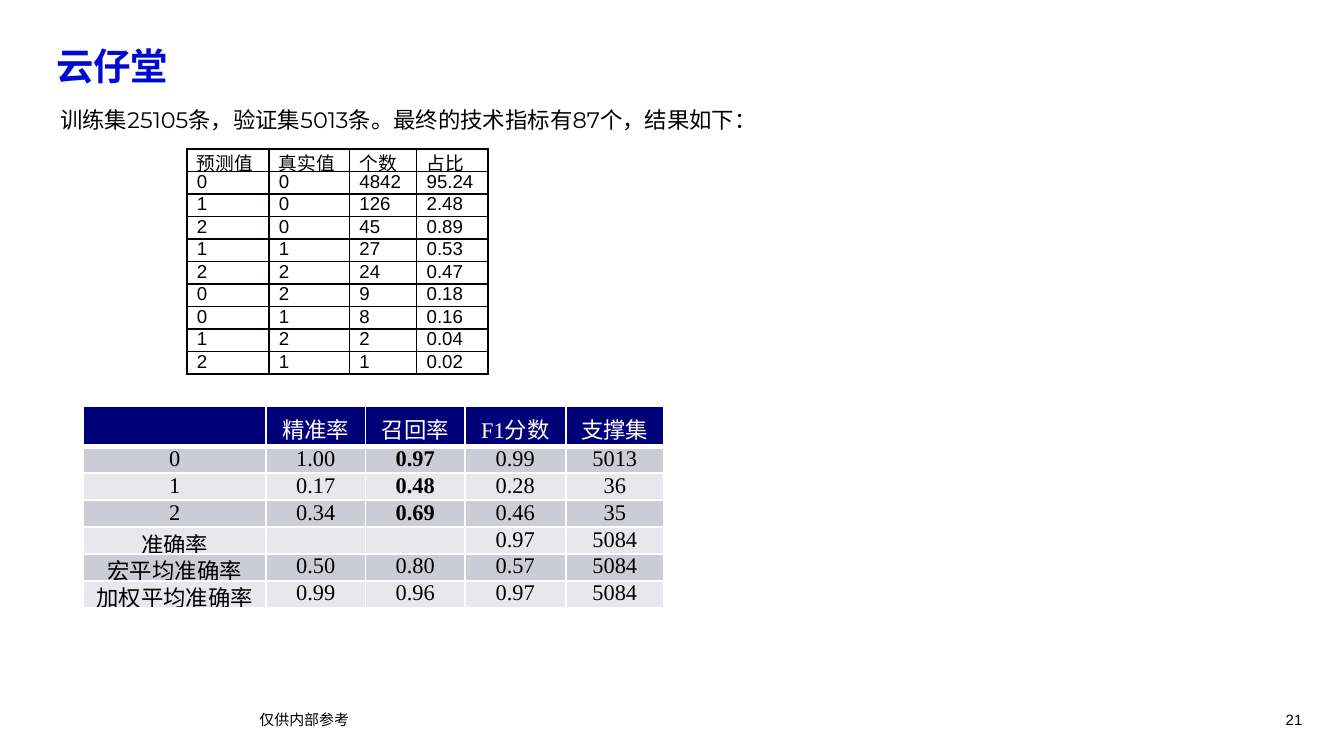
from dataclasses import dataclass

from lxml import etree
from pptx import Presentation
from pptx.dml.color import RGBColor
from pptx.enum.text import MSO_ANCHOR, PP_ALIGN
from pptx.oxml.ns import qn
from pptx.util import Inches, Pt

LEFT, CENTER, RIGHT = PP_ALIGN.LEFT, PP_ALIGN.CENTER, PP_ALIGN.RIGHT
TOP, MIDDLE = MSO_ANCHOR.TOP, MSO_ANCHOR.MIDDLE


@dataclass(frozen=True)
class Theme:
    """Colours, fonts and type sizes of the slide."""
    black: str = "000000"
    white: str = "FFFFFF"
    blue: str = "000AD2"
    navy: str = "000078"
    grid: str = "080000"
    bands: tuple = ("CCCCD6", "E7E7EC")
    sans: str = "Arial"
    serif: str = "Times New Roman"
    body: str = "Montserrat"
    han: str = "Noto Sans CJK SC"
    title: int = 20
    text: int = 12
    small: int = 10
    foot: int = 8


THEME = Theme()

COUNTS = [
    ("预测值", "真实值", "个数", "占比"),
    ("0", "0", "4842", "95.24"),
    ("1", "0", "126", "2.48"),
    ("2", "0", "45", "0.89"),
    ("1", "1", "27", "0.53"),
    ("2", "2", "24", "0.47"),
    ("0", "2", "9", "0.18"),
    ("0", "1", "8", "0.16"),
    ("1", "2", "2", "0.04"),
    ("2", "1", "1", "0.02"),
]
SCORES = [
    ("", "精准率", "召回率", "F1分数", "支撑集"),
    ("0", "1.00", "0.97", "0.99", "5013"),
    ("1", "0.17", "0.48", "0.28", "36"),
    ("2", "0.34", "0.69", "0.46", "35"),
    ("准确率", "", "", "0.97", "5084"),
    ("宏平均准确率", "0.50", "0.80", "0.57", "5084"),
    ("加权平均准确率", "0.99", "0.96", "0.97", "5084"),
]


def style(para, size, face, color, align=LEFT, bold=False):
    """Format a paragraph and its runs, or its end mark when it is empty."""
    para.alignment = align
    for run in para.runs:
        font = run.font
        font.size, font.name, font.bold = Pt(size), face, bold
        font.color.rgb = RGBColor.from_string(color)
        etree.SubElement(font._element, qn("a:ea"), typeface=THEME.han)
    if not para.runs:
        etree.SubElement(para._p, qn("a:endParaRPr"), sz=str(size * 100))


def label(slide, box, text, size, face, color, align=LEFT, bold=False,
          pad=(0.1, 0.05), anchor=TOP):
    """Place one line of text in a box."""
    frame = slide.shapes.add_textbox(*map(Inches, box)).text_frame
    frame.word_wrap = True
    frame.vertical_anchor = anchor
    frame.margin_left = frame.margin_right = Inches(pad[0])
    frame.margin_top = frame.margin_bottom = Inches(pad[1])
    frame.text = text
    style(frame.paragraphs[0], size, face, color, align, bold)


def border(cell, color, base=1):
    """Draw the four sides of a cell."""
    props = cell._tc.get_or_add_tcPr()
    for side in "LRTB":
        width = Pt(base if side == "B" else 1)
        line = etree.SubElement(props, qn(f"a:ln{side}"), w=str(width))
        fill = etree.SubElement(line, qn("a:solidFill"))
        etree.SubElement(fill, qn("a:srgbClr"), val=color)


def grid(slide, box, data, cols, height):
    """Add a plain table and yield its cells with row and column."""
    shape = slide.shapes.add_table(len(data), len(cols), *map(Inches, box))
    table = shape.table
    table.first_row = table.horz_banding = False
    for col, width in zip(table.columns, cols):
        col.width = Inches(width)
    for row in table.rows:
        row.height = Inches(height)
    for r, values in enumerate(data):
        for c, value in enumerate(values):
            cell = table.cell(r, c)
            cell.text = value
            cell.margin_left = cell.margin_right = Pt(5.4)
            cell.margin_top = cell.margin_bottom = 0
            yield cell, r, c


def counts(slide, box):
    """Build the table of predicted against true classes."""
    cols = (0.61, 0.6, 0.5, 0.53)
    for cell, _, _ in grid(slide, box, COUNTS, cols, 0.15):
        border(cell, THEME.grid)
        cell.fill.background()
        style(cell.text_frame.paragraphs[0], THEME.small, THEME.sans, THEME.black)


def scores(slide, box):
    """Build the banded table of model scores."""
    cols = (1.36, 0.74, 0.74, 0.75, 0.73)
    for cell, r, c in grid(slide, box, SCORES, cols, 0.2):
        head = r == 0
        if head:
            cell.margin_left = cell.margin_right = Inches(0.1)
            cell.margin_top = cell.margin_bottom = Inches(0.05)
        border(cell, THEME.white, 3 if head else 1)
        cell.fill.solid()
        shade = THEME.navy if head else THEME.bands[(r - 1) % 2]
        cell.fill.fore_color.rgb = RGBColor.from_string(shade)
        style(cell.text_frame.paragraphs[0], THEME.text, THEME.serif,
              THEME.white if head else THEME.black, CENTER,
              c == 2 and 1 <= r <= 3)


def header(slide, box):
    """Place the title and the summary line."""
    x, y, w, _ = box
    label(slide, (x, y, 2.31, 0.4), "云仔堂", THEME.title, THEME.han,
          THEME.blue, bold=True)
    label(slide, (x + 0.03, y + 0.47, w - 0.03, 0.31),
          "训练集25105条，验证集5013条。最终的技术指标有87个，结果如下：",
          THEME.text, THEME.body, THEME.black)


def footer(slide, box):
    """Place the notice and the page number."""
    x, y, w, h = box
    for text, left, width, align in (("仅供内部参考", x, 6.46, LEFT),
                                     ("21", x + w - 0.39, 0.39, RIGHT)):
        label(slide, (left, y, width, h), text, THEME.foot, THEME.sans,
              THEME.black, align, pad=(0, 0), anchor=MIDDLE)


def main():
    """Build the slide and save it."""
    deck = Presentation()
    deck.slide_width = Inches(10)
    deck.slide_height = deck.slide_width * 9 // 16
    slide = deck.slides.add_slide(deck.slide_layouts[6])
    footer(slide, (1.93, 5.28, 7.76, 0.15))
    counts(slide, (1.39, 1.11, 2.24, 1.5))
    scores(slide, (0.62, 3.02, 4.32, 1.4))
    header(slide, (0.32, 0.27, 5.67, 0.78))
    deck.save("out.pptx")


if __name__ == "__main__":
    main()
